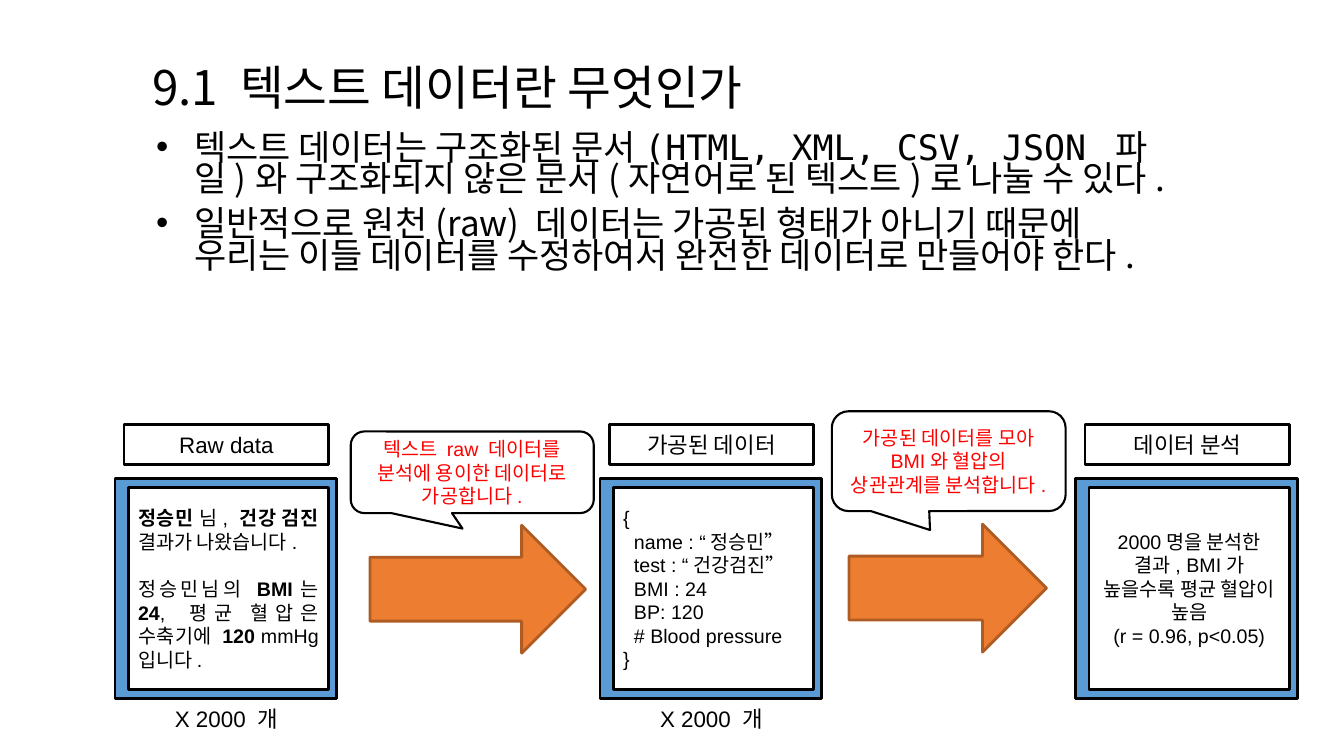
from lxml.etree import SubElement
from pptx import Presentation
from pptx.dml.color import RGBColor as RGB
from pptx.enum.shapes import MSO_SHAPE as Kind
from pptx.enum.text import MSO_ANCHOR as Anchor, PP_ALIGN as Align
from pptx.oxml.ns import qn
from pptx.util import Inches, Pt


class Theme:
    ink, paper, red = "000000", "FFFFFF", "FF0000"
    blue, orange, rust = "5B9BD5", "ED7D31", "AF5C24"
    sans, hangul, mono = "Arial", "Noto Sans CJK KR", "DejaVu Sans Mono"
    title, body, label, note = 34, 25, 16, 14


deck = Presentation()
deck.slide_width, deck.slide_height = Inches(13.33), Inches(7.5)
slide = deck.slides.add_slide(deck.slide_layouts[6])
col, row = deck.slide_width / 100, deck.slide_height / 100


def box(kind, x, y, wide, high, fill=None, line=Theme.ink, weight=2):
    """Add a shape, or a text box if kind is None, on a 100 by 100 grid."""
    area = [round(n) for n in (x * col, y * row, wide * col, high * row)]
    if kind is None:
        return slide.shapes.add_textbox(*area)
    shape = slide.shapes.add_shape(kind, *area)
    shape.shadow.inherit = False
    shape.fill.solid()
    shape.fill.fore_color.rgb = RGB.from_string(fill)
    shape.line.color.rgb = RGB.from_string(line)
    shape.line.width = Pt(weight)
    return shape


def write(shape, lines, size, align=Align.CENTER, color=Theme.ink,
          font=Theme.sans, code=None, anchor=Anchor.MIDDLE):
    """Fill in lines; pieces between bars are bold, or set in the code font."""
    frame = shape.text_frame
    frame.word_wrap, frame.vertical_anchor = True, anchor
    for i, line in enumerate(lines):
        para = frame.paragraphs[0] if i == 0 else frame.add_paragraph()
        para.alignment = align
        for j, piece in enumerate(line.split("|")):
            if not piece:
                continue
            run = para.add_run()
            run.text = piece
            odd = j % 2 == 1
            run.font.size = Pt(size)
            run.font.bold = odd and code is None
            run.font.color.rgb = RGB.from_string(color)
            run.font.name = code if odd and code else font
            SubElement(run.font._element, qn("a:ea"), typeface=Theme.hangul)
    return frame.paragraphs


# Heading and bullets
head = write(box(None, 10.58, 6.53, 69.62, 10.8), ["9.1 텍스트 데이터란 무엇인가"],
             Theme.title, Align.LEFT, font=Theme.hangul)
head[0].line_spacing = 0.9

points = [
    "텍스트 데이터는 구조화된 문서|(HTML, XML, CSV, JSON |파일)와 구조화되지 않은 문서"
    "(자연어로 된 텍스트)로 나눌 수 있다.",
    "일반적으로 원천(raw) 데이터는 가공된 형태가 아니기 때문에 우리는 이들 데이터를 "
    "수정하여서 완전한 데이터로 만들어야 한다.",
]
body = write(box(None, 9.98, 17.33, 78.84, 30), points, Theme.body, Align.LEFT,
             font=Theme.hangul, code=Theme.mono, anchor=Anchor.TOP)
for i, para in enumerate(body):
    props = para._p.get_or_add_pPr()
    props.set("marL", str(Inches(0.5)))
    props.set("indent", str(Inches(-0.38)))
    SubElement(props, qn("a:buFont"), typeface=Theme.sans)
    SubElement(props, qn("a:buChar"), char="•")
    para.line_spacing = 0.74
    para.space_before = Pt(10 * i)

# Three stages: label, framed card and count
raw = ["|정승민| 님, |건강 검진 |결과가 나왔습니다.",
       "정승민님의 |BMI|는 |24|, 평균 혈압은 수축기에 |120| mmHg 입니다."]
record = ["{", "  name : “정승민”", "  test : “건강검진”", "  BMI : 24",
          "  BP: 120", "  # Blood pressure", "}"]
result = ["2000명을 분석한 결과, BMI가 높을수록 평균 혈압이 높음",
          "(r = 0.96, p<0.05)"]
stages = [
    (8.55, "Raw data", raw, Align.JUSTIFY, "X 2000 개"),
    (44.64, "가공된 데이터", record, Align.JUSTIFY, "X 2000 개"),
    (80.05, "데이터 분석", result, Align.CENTER, None),
]
for x, label, lines, align, count in stages:
    box(Kind.RECTANGLE, x, 63.33, 16.5, 29.07, Theme.blue)
    card = box(Kind.RECTANGLE, x + 0.98, 64.45, 14.93, 26.8, Theme.paper)
    text = write(card, lines, Theme.note, align)
    if lines is raw:
        text[1].space_before = Pt(17)
    name = box(Kind.RECTANGLE, x + 0.68, 56.13, 15.23, 5.33, Theme.paper)
    write(name, [label], Theme.label)
    if count:
        write(box(None, x + 0.68, 92.4, 15.23, 5.33), [count], Theme.label)

# Arrows between the stages
for x, y, wide in [(27.53, 69.47, 16.05), (63.17, 69.33, 14.7)]:
    box(Kind.RIGHT_ARROW, x, y, wide, 16.93, Theme.orange, Theme.rust)

# Callouts above the arrows
calls = [
    ((26.1, 57.07, 18.08, 10.8), (-0.04, 0.69),
     "텍스트 raw 데이터를\v분석에 용이한 데이터로\v가공합니다."),
    ((61.89, 54.4, 17.4, 13.2), (-0.08, 0.69),
     "가공된 데이터를 모아 BMI와 혈압의 상관관계를 분석합니다."),
]
for area, tip, line in calls:
    call = box(Kind.ROUNDED_RECTANGULAR_CALLOUT, *area, Theme.paper, weight=1.5)
    call.adjustments[0], call.adjustments[1] = tip
    parts = line.split("\v")
    write(call, parts, Theme.note, color=Theme.red)

deck.save("out.pptx")
